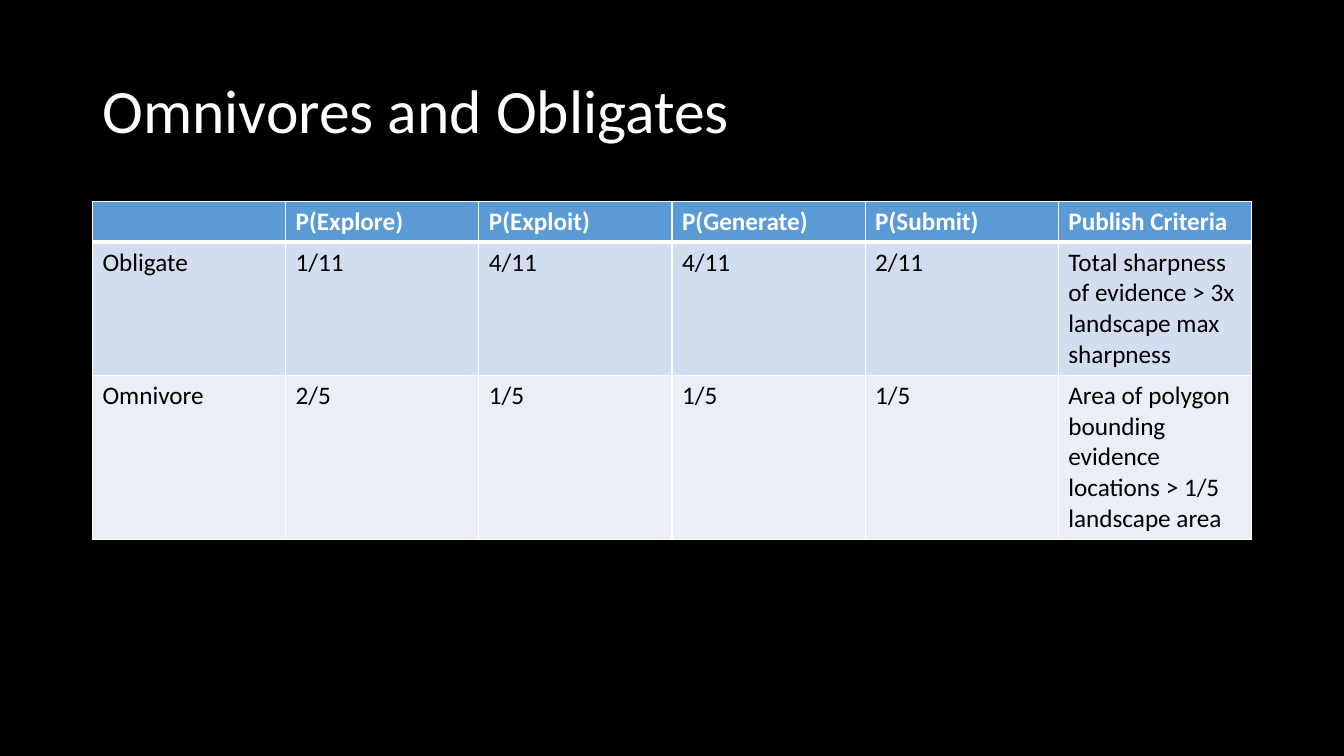
import dataclasses

import pptx
import pptx.dml.color
import pptx.enum.text
import pptx.oxml
import pptx.oxml.ns
import pptx.util

Cm = pptx.util.Cm
Pt = pptx.util.Pt


@dataclasses.dataclass(frozen=True)
class Theme:
    """Colours, type sizes and line widths of the slide."""

    font: str = "Calibri"
    background: str = "000000"
    light: str = "FFFFFF"
    dark: str = "000000"
    header: str = "5B9BD5"
    bands: tuple = ("D2DEEF", "EAEFF7")
    title_size: int = 44
    table_size: int = 18
    thin: int = 1
    thick: int = 3


THEME = Theme()
STRATEGIES = [
    ["", "P(Explore)", "P(Exploit)", "P(Generate)", "P(Submit)", "Publish Criteria"],
    ["Obligate", "1/11", "4/11", "4/11", "2/11",
     "Total sharpness of evidence > 3x landscape max sharpness"],
    ["Omnivore", "2/5", "1/5", "1/5", "1/5",
     "Area of polygon bounding evidence locations > 1/5 landscape area"],
]


def colour(value):
    """Return the colour object for a hexadecimal value."""
    return pptx.dml.color.RGBColor.from_string(value)


def write_text(text_frame, text, *, size, color, bold=False, line_spacing=None):
    """Write one left-aligned paragraph in the given format."""
    paragraph = text_frame.paragraphs[0]
    paragraph.alignment = pptx.enum.text.PP_ALIGN.LEFT
    paragraph.line_spacing = line_spacing
    paragraph.font.size = Pt(size)
    if text:
        run = paragraph.add_run()
        run.text = text
        run.font.name = THEME.font
        run.font.size = Pt(size)
        run.font.bold = bold
        run.font.color.rgb = colour(color)


def set_borders(cell, **widths):
    """Draw the cell's borders in the light colour, each with its own width."""
    properties = cell._tc.get_or_add_tcPr()
    namespace = pptx.oxml.ns.nsdecls("a")
    for side, width in widths.items():
        properties.append(pptx.oxml.parse_xml(
            f'<a:ln{side} {namespace} w="{Pt(width)}"><a:solidFill>'
            f'<a:srgbClr val="{THEME.light}"/></a:solidFill></a:ln{side}>'))


def add_title(slide, text, left, top, width, height):
    """Place the title placeholder in its box."""
    title = slide.shapes.title
    title.left, title.top, title.width, title.height = left, top, width, height
    title.text_frame.vertical_anchor = pptx.enum.text.MSO_ANCHOR.MIDDLE
    write_text(title.text_frame, text, size=THEME.title_size,
               color=THEME.light, line_spacing=0.9)


def add_strategy_table(slide, rows, left, top, width, row_height):
    """Add a table with a header row, banded rows and equal columns."""
    table = slide.shapes.add_table(
        len(rows), len(rows[0]), left, top, width, row_height * len(rows)).table
    for row_index, values in enumerate(rows):
        is_header = row_index == 0
        fill = THEME.header if is_header else THEME.bands[(row_index - 1) % 2]
        for column_index, value in enumerate(values):
            cell = table.cell(row_index, column_index)
            set_borders(cell, L=THEME.thin, R=THEME.thin,
                        T=THEME.thick if row_index == 1 else THEME.thin,
                        B=THEME.thick if is_header else THEME.thin)
            cell.fill.solid()
            cell.fill.fore_color.rgb = colour(fill)
            write_text(cell.text_frame, value, size=THEME.table_size, bold=is_header,
                       color=THEME.light if is_header else THEME.dark)


def build_strategy_slide(presentation):
    """Build the slide that compares the two strategies."""
    slide = presentation.slides.add_slide(presentation.slide_layouts[5])
    slide.background.fill.solid()
    slide.background.fill.fore_color.rgb = colour(THEME.background)
    margin = Cm(2.33)
    width = presentation.slide_width - 2 * margin
    add_title(slide, "Omnivores and Obligates", margin, Cm(1.01), width, Cm(3.68))
    add_strategy_table(slide, STRATEGIES, margin, Cm(5.07), width, Cm(1.03))


def main():
    """Create the presentation and save it."""
    presentation = pptx.Presentation()
    presentation.slide_width, presentation.slide_height = Cm(33.87), Cm(19.05)
    build_strategy_slide(presentation)
    presentation.save("out.pptx")


if __name__ == "__main__":
    main()
